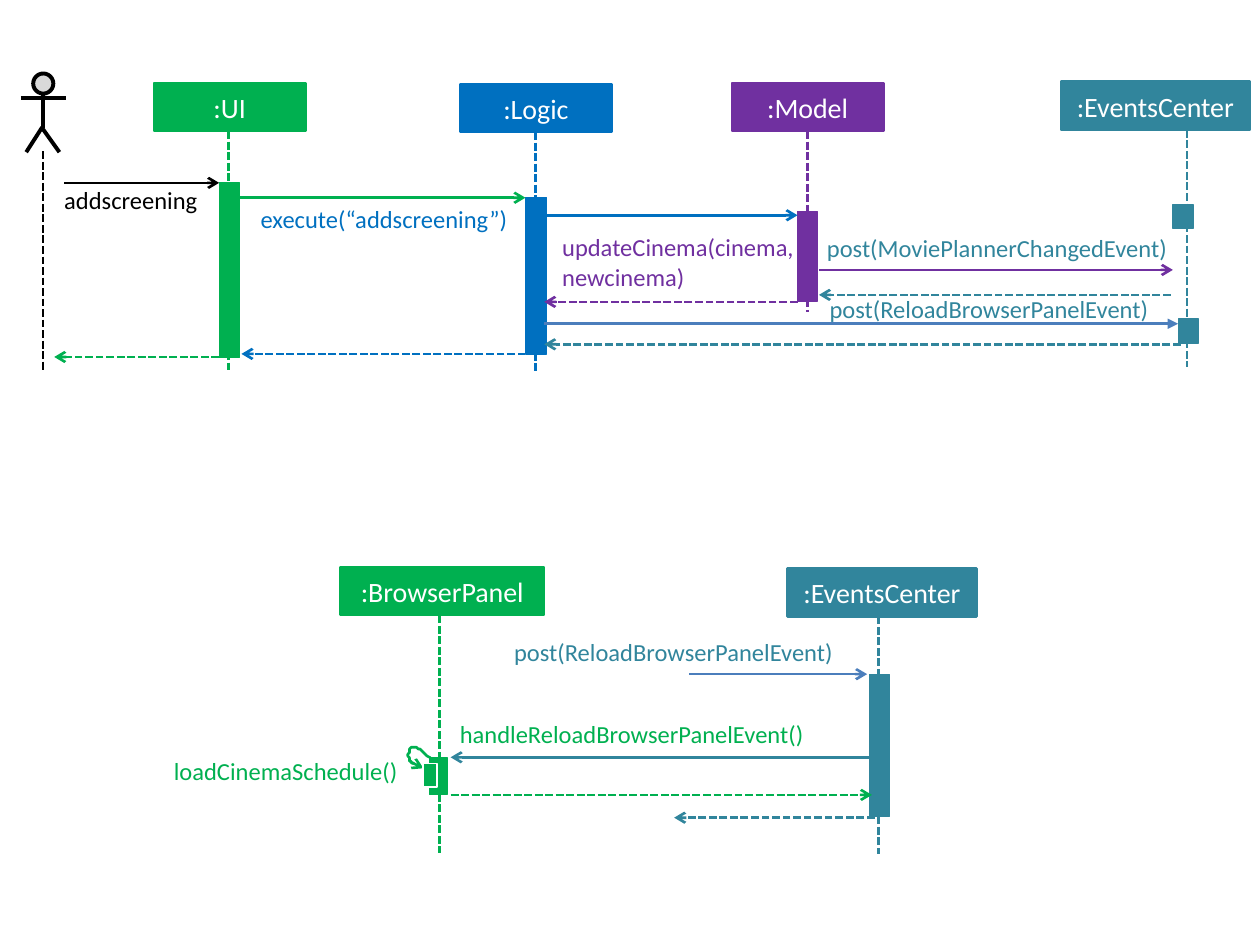
from typing import NamedTuple

from lxml import etree
from pptx import Presentation
from pptx.dml.color import RGBColor
from pptx.enum import dml, shapes, text
from pptx.oxml import ns
from pptx.util import Pt

GREEN, BLUE, PURPLE, TEAL = "00B050", "0070C0", "7030A0", "31859C"
STEEL, BLACK, WHITE, GREY = "4B7EBC", "000000", "FFFFFF", "D9D9D9"
FONT = "Calibri"
HEAD_H = 27.5


class Box(NamedTuple):
    x: float
    y: float
    w: float
    h: float


class Part(NamedTuple):
    name: str
    color: str
    x: float
    y: float
    w: float
    life: float
    end: float
    bars: tuple[Box, ...]


class Call(NamedTuple):
    """An arrow from start to tip at one height."""
    start: float
    tip: float
    y: float
    color: str
    dash: bool = False
    head: str = "arrow"


class Label(NamedTuple):
    words: str
    color: str
    x: float
    y: float
    w: float
    h: float = 17
    align: text.PP_ALIGN = text.PP_ALIGN.LEFT


PARTS = [
    Part(":UI", GREEN, 88, 47.5, 86.5, 130.5, 212.5,
         (Box(125.25, 104.5, 11.5, 100),)),
    Part(":Logic", BLUE, 263, 48, 86.5, 306, 212.5,
         (Box(300.25, 113, 12.25, 89.25),)),
    Part(":Model", PURPLE, 418.25, 47.5, 86.5, 461.5, 178.5,
         (Box(455.75, 121, 11.5, 51),)),
    Part(":EventsCenter", TEAL, 606.25, 46.75, 108, 678.25, 210,
         (Box(670.25, 116.75, 11.5, 13.75), Box(673.25, 182.25, 11.5, 13.75))),
    Part(":BrowserPanel", GREEN, 194.5, 324, 116.5, 251.25, 487.5,
         (Box(245.5, 432.75, 10, 21.5),)),
    Part(":EventsCenter", TEAL, 450, 324.75, 108, 502, 488,
         (Box(496.75, 385.25, 11.5, 81.25),)),
]

CALLS = [
    Call(36.75, 125.25, 104.5, BLACK),
    Call(137, 300.25, 113, GREEN),
    Call(311, 455.75, 123, BLUE),
    Call(468, 670.25, 154.25, PURPLE),
    Call(669, 468, 168.5, TEAL, True),
    Call(455.75, 311, 172.5, PURPLE, True),
    Call(311, 673.25, 185, STEEL, head="triangle"),
    Call(674.75, 311, 196.75, TEAL, True),
    Call(300.25, 138, 202.25, BLUE, True),
    Call(125.25, 31, 204, GREEN, True),
    Call(394, 495.5, 385.25, STEEL),
    Call(498.25, 257.5, 432.75, TEAL),
    Call(257.5, 498.25, 454.25, GREEN, True),
    Call(499.75, 385.25, 467.25, TEAL, True),
]

LABELS = [
    Label("addscreening", BLACK, 36.75, 106, 80),
    Label("execute(“addscreening”)", BLUE, 149, 116.75, 150),
    Label("updateCinema(cinema, newcinema)", PURPLE, 321.25, 132.75, 135.5, 34),
    Label("post(MoviePlannerChangedEvent)", TEAL, 472.5, 133.25, 198),
    Label("post(ReloadBrowserPanelEvent)", TEAL, 474, 168, 198),
    Label("post(ReloadBrowserPanelEvent)", TEAL, 293.75, 364.25, 214),
    Label("handleReloadBrowserPanelEvent()", GREEN, 262.75, 411, 209.5),
    Label("loadCinemaSchedule()", GREEN, 87.75, 432, 139.5,
          align=text.PP_ALIGN.RIGHT),
]


def rgb(code: str) -> RGBColor:
    return RGBColor.from_string(code)


def pen(shape, color: str, width: float, head: str = "") -> None:
    """Style the outline; head puts an arrowhead at its last point."""
    shape.line.color.rgb = rgb(color)
    shape.line.width = Pt(width)
    if head:
        etree.SubElement(shape.line._get_or_add_ln(), ns.qn("a:tailEnd"), type=head)


def line(x1: float, y1: float, x2: float, y2: float, color: str,
         width: float = 1.5, dash: bool = False, head: str = "") -> None:
    link = slide.shapes.add_connector(
        shapes.MSO_CONNECTOR.STRAIGHT, Pt(x1), Pt(y1), Pt(x2), Pt(y2))
    if dash:
        link.line.dash_style = dml.MSO_LINE.SQUARE_DOT
    pen(link, color, width, head)
    etree.SubElement(link._element.spPr, ns.qn("a:effectLst"))


def block(box: Box, fill: str, edge: str, width: float = 0.75,
          kind=shapes.MSO_SHAPE.RECTANGLE):
    shape = slide.shapes.add_shape(kind, *map(Pt, box))
    shape.shadow.inherit = False
    shape.fill.solid()
    shape.fill.fore_color.rgb = rgb(fill)
    pen(shape, edge, width)
    return shape


def trace(points: list[tuple[float, float]], color: str, width: float,
          head: str = "") -> None:
    """Draw an open, unfilled outline."""
    first, *rest = points
    form = slide.shapes.build_freeform(*first, scale=Pt(1))
    form.add_line_segments(rest, close=False)
    shape = form.convert_to_shape()
    shape.shadow.inherit = False
    shape.fill.background()
    pen(shape, color, width, head)


def bezier(a, b, c, d, steps: int = 10) -> list[tuple[float, float]]:
    """Return points along a cubic curve, without its start."""
    ts = [i / steps for i in range(1, steps + 1)]
    return [tuple((1 - t) ** 3 * p + 3 * t * (1 - t) ** 2 * q
                  + 3 * t * t * (1 - t) * r + t ** 3 * s
                  for p, q, r, s in zip(a, b, c, d)) for t in ts]


def write(frame, words: str, size: float, color: str, align) -> None:
    frame.text = words
    para = frame.paragraphs[0]
    para.alignment = align
    font = para.runs[0].font
    font.name, font.size, font.color.rgb = FONT, Pt(size), rgb(color)


def draw_part(part: Part) -> None:
    head = block(Box(part.x, part.y, part.w, HEAD_H), part.color, part.color, 1.5)
    head.text_frame.vertical_anchor = text.MSO_ANCHOR.MIDDLE
    write(head.text_frame, part.name, 16, WHITE, text.PP_ALIGN.CENTER)
    line(part.life, part.y + HEAD_H, part.life, part.end, part.color, dash=True)
    for bar in part.bars:
        block(bar, part.color, part.color)


def draw_label(label: Label) -> None:
    area = Box(label.x, label.y, label.w, label.h)
    frame = slide.shapes.add_textbox(*map(Pt, area)).text_frame
    frame.margin_left = frame.margin_right = frame.margin_top = frame.margin_bottom = 0
    frame.word_wrap = True
    frame.auto_size = text.MSO_AUTO_SIZE.SHAPE_TO_FIT_TEXT
    write(frame, label.words, 14, label.color, label.align)


def draw_actor() -> None:
    mid, hip = 24.5, 73
    line(mid, 86.5, mid, 212.5, BLACK, dash=True)
    block(Box(19, 42, 11.5, 11.5), GREY, BLACK, 2.25,
          shapes.MSO_SHAPE.FLOWCHART_CONNECTOR)
    line(mid, 53.5, mid, hip, BLACK, 2.25)
    line(12, 56, 37.5, 56, BLACK, 2.25)
    trace([(mid - 9.5, 87), (mid, hip), (mid + 9.5, 87)], BLACK, 2.25)


def draw_loop() -> None:
    """Draw the self-call of the browser panel."""
    start, turn, tip = (245.5, 432.75), (235.5, 427), (242, 439.2)
    left = (234, 434.2)
    curve = [start, *bezier(start, (241.2, 429.8), (237.6, 426.2), turn),
             *bezier(turn, (233.3, 427), (232.9, 432), left),
             *bezier(left, (234.7, 436.3), (238.3, 437.8), tip)]
    trace(curve, GREEN, 1.5, "arrow")
    block(Box(241.75, 436.25, 8, 13.5), GREEN, WHITE)


deck = Presentation()
deck.slide_width, deck.slide_height = Pt(720), Pt(540)
slide = deck.slides.add_slide(deck.slide_layouts[6])

draw_actor()
for part in PARTS:
    draw_part(part)
for call in CALLS:
    line(call.start, call.y, call.tip, call.y, call.color,
         dash=call.dash, head=call.head)
draw_loop()
for label in LABELS:
    draw_label(label)

deck.save("out.pptx")
